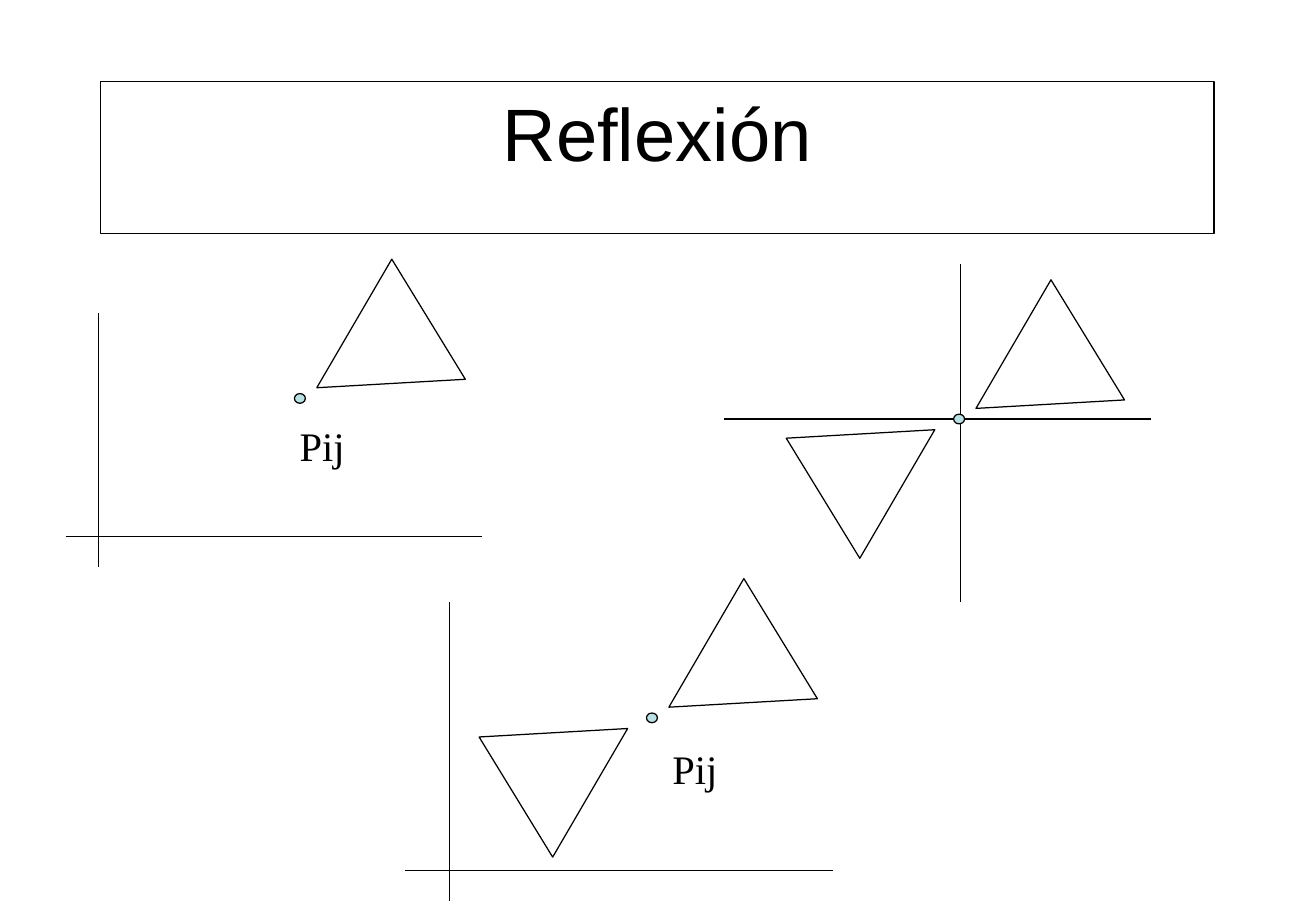
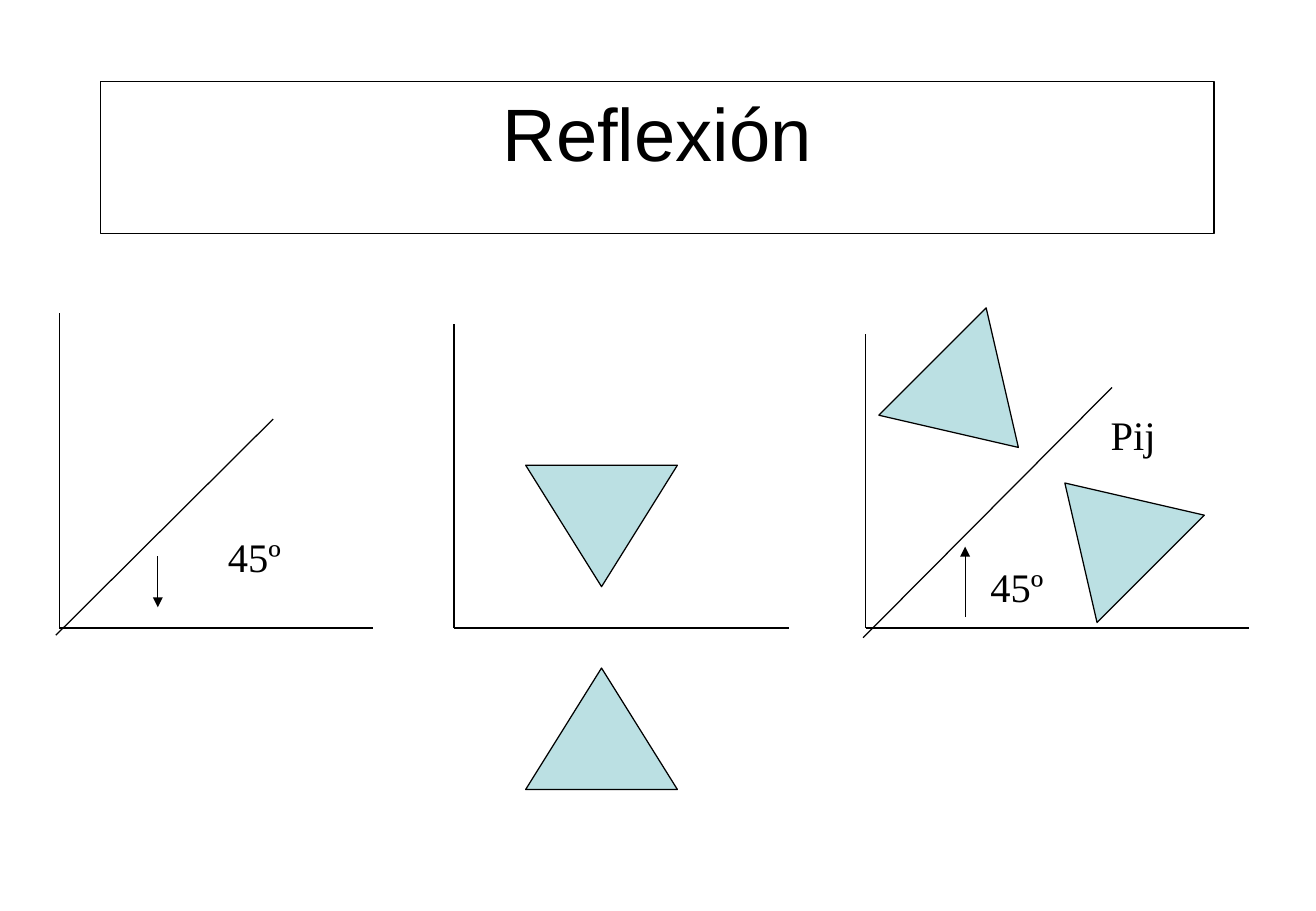
from dataclasses import dataclass
from typing import Optional

from lxml import etree
from pptx import Presentation
from pptx.dml.color import RGBColor
from pptx.enum import shapes, text
from pptx.oxml.ns import qn
from pptx.util import Inches, Pt


@dataclass(frozen=True)
class Theme:
    ink: RGBColor = RGBColor(0x00, 0x00, 0x00)
    paper: RGBColor = RGBColor(0xFF, 0xFF, 0xFF)
    accent: RGBColor = RGBColor(0xBB, 0xE0, 0xE3)
    title_font: str = "Arial"
    label_font: str = "Times New Roman"
    title_size: int = 44
    label_size: int = 24
    line_width: float = 0.75


@dataclass(frozen=True)
class Axes:
    x: float
    top: float
    bottom: float
    y: float
    left: float
    right: float


@dataclass(frozen=True)
class Segment:
    x1: float
    y1: float
    x2: float
    y2: float
    arrow: bool = False


@dataclass(frozen=True)
class Triangle:
    left: float
    top: float
    width: float
    height: float
    rotation: float
    fill: Optional[RGBColor] = None


@dataclass(frozen=True)
class Label:
    left: float
    top: float
    width: float
    words: str


@dataclass(frozen=True)
class PointFigure:
    axes: Axes
    x: float
    y: float
    mirrored: bool


THEME = Theme()
SLIDE_WIDTH, SLIDE_HEIGHT = 10.84, 7.5
DOT_WIDTH, DOT_HEIGHT = 0.09, 0.08
TRIANGLE_WIDTH, TRIANGLE_HEIGHT = 1.16, 1.08
TILT = 58.5
PIJ_WIDTH, ANGLE_WIDTH = 0.58, 0.66

POINT_FIGURES = [
    PointFigure(Axes(7.91, 2.17, 4.96, 3.45, 5.96, 9.48), 7.9, 3.45, True),
    PointFigure(Axes(0.81, 2.58, 4.67, 4.42, 0.54, 3.97), 2.47, 3.28, False),
    PointFigure(Axes(3.7, 4.96, 7.42, 7.17, 3.34, 6.86), 5.37, 5.91, True),
]
POINT_LABELS = [
    Label(2.37, 3.42, PIJ_WIDTH, "Pij"),
    Label(5.44, 6.08, PIJ_WIDTH, "Pij"),
]

BASELINE = 5.17
LINE_AXES = [
    Axes(x, top, BASELINE, BASELINE, x, right)
    for x, top, right in [(0.49, 2.58, 3.07), (3.74, 2.67, 6.5), (7.13, 2.75, 10.29)]
]
LINE_SEGMENTS = [
    Segment(2.25, 3.45, 0.46, 5.23),
    Segment(1.3, 4.58, 1.3, 5, arrow=True),
    Segment(9.16, 3.19, 7.11, 5.25),
    Segment(7.95, 5.08, 7.95, 4.5, arrow=True),
]
LINE_TRIANGLES = [
    Triangle(left, top, 1.25, 1, rotation, THEME.accent)
    for left, top, rotation in [
        (4.33, 3.83, 180), (4.33, 5.5, 0), (7.41, 2.83, 135), (8.5, 3.83, 315),
    ]
]
LINE_LABELS = [
    Label(1.78, 4.33, ANGLE_WIDTH, "45º"),
    Label(8.06, 4.58, ANGLE_WIDTH, "45º"),
    Label(9.05, 3.33, PIJ_WIDTH, "Pij"),
]


def add_run(p, words: str, font: str, size: int) -> None:
    r = p.add_run()
    r.text = words
    r.font.name = font
    r.font.size = Pt(size)
    r.font.color.rgb = THEME.ink


def add_outlined(s, kind, left: float, top: float, width: float, height: float,
                 fill: Optional[RGBColor] = None):
    sp = s.shapes.add_shape(kind, Inches(left), Inches(top), Inches(width), Inches(height))
    sp.shadow.inherit = False
    if fill is None:
        sp.fill.background()
    else:
        sp.fill.solid()
        sp.fill.fore_color.rgb = fill
    sp.line.color.rgb = THEME.ink
    sp.line.width = Pt(THEME.line_width)
    return sp


def add_title(s, words: str) -> None:
    sp = add_outlined(s, shapes.MSO_SHAPE.RECTANGLE, 0.83, 0.67, 9.17, 1.25, THEME.paper)
    tf = sp.text_frame
    tf.word_wrap = True
    tf.vertical_anchor = text.MSO_ANCHOR.TOP
    p = tf.paragraphs[0]
    p.alignment = text.PP_ALIGN.CENTER
    add_run(p, words, THEME.title_font, THEME.title_size)


def add_segment(s, seg: Segment) -> None:
    line = s.shapes.add_connector(
        shapes.MSO_CONNECTOR.STRAIGHT,
        Inches(seg.x1), Inches(seg.y1), Inches(seg.x2), Inches(seg.y2))
    line.line.color.rgb = THEME.ink
    line.line.width = Pt(THEME.line_width)
    props = line._element.spPr
    if seg.arrow:
        etree.SubElement(props.find(qn("a:ln")), qn("a:tailEnd"), type="triangle")
    etree.SubElement(props, qn("a:effectLst"))


def add_axes(s, axes: Axes) -> None:
    add_segment(s, Segment(axes.x, axes.top, axes.x, axes.bottom))
    add_segment(s, Segment(axes.left, axes.y, axes.right, axes.y))


def add_triangle(s, tri: Triangle) -> None:
    sp = add_outlined(s, shapes.MSO_SHAPE.ISOSCELES_TRIANGLE,
                      tri.left, tri.top, tri.width, tri.height, tri.fill)
    sp.rotation = tri.rotation


def add_label(s, label: Label) -> None:
    sp = s.shapes.add_textbox(
        Inches(label.left), Inches(label.top), Inches(label.width), Inches(0.5))
    tf = sp.text_frame
    tf.word_wrap = False
    tf.auto_size = text.MSO_AUTO_SIZE.SHAPE_TO_FIT_TEXT
    add_run(tf.paragraphs[0], label.words, THEME.label_font, THEME.label_size)


def add_point_figure(s, fig: PointFigure) -> None:
    add_axes(s, fig.axes)
    add_triangle(s, Triangle(fig.x + 0.02, fig.y - 0.91,
                             TRIANGLE_WIDTH, TRIANGLE_HEIGHT, TILT + 180))
    if fig.mirrored:
        add_triangle(s, Triangle(fig.x - 1.24, fig.y - 0.17,
                                 TRIANGLE_WIDTH, TRIANGLE_HEIGHT, TILT))
    add_outlined(s, shapes.MSO_SHAPE.OVAL, fig.x - DOT_WIDTH / 2, fig.y - DOT_HEIGHT / 2,
                 DOT_WIDTH, DOT_HEIGHT, THEME.accent)


def add_titled_slide(prs):
    s = prs.slides.add_slide(prs.slide_layouts[6])
    s.background.fill.solid()
    s.background.fill.fore_color.rgb = THEME.paper
    add_title(s, "Reflexión")
    return s


def build_point_reflection(prs) -> None:
    s = add_titled_slide(prs)
    for fig in POINT_FIGURES:
        add_point_figure(s, fig)
    for label in POINT_LABELS:
        add_label(s, label)


def build_line_reflection(prs) -> None:
    s = add_titled_slide(prs)
    for axes in LINE_AXES:
        add_axes(s, axes)
    for tri in LINE_TRIANGLES:
        add_triangle(s, tri)
    for seg in LINE_SEGMENTS:
        add_segment(s, seg)
    for label in LINE_LABELS:
        add_label(s, label)


def main() -> None:
    prs = Presentation()
    prs.slide_width = Inches(SLIDE_WIDTH)
    prs.slide_height = Inches(SLIDE_HEIGHT)
    build_point_reflection(prs)
    build_line_reflection(prs)
    prs.save("out.pptx")


if __name__ == "__main__":
    main()
